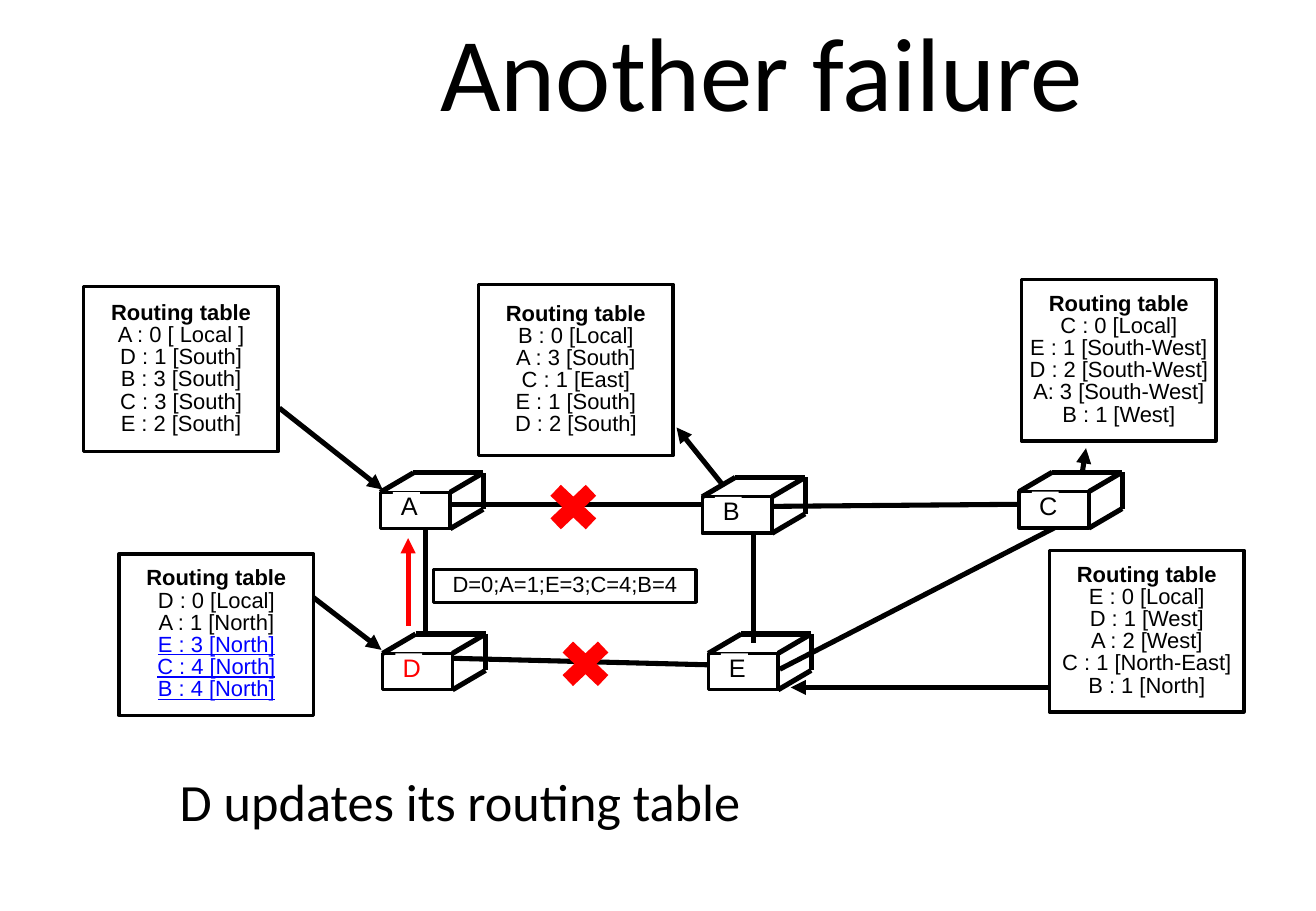
import pptx
import pptx.util
import pptx.dml.color
import pptx.enum.shapes
import pptx.enum.text
import pptx.oxml
import pptx.oxml.ns

Pt = pptx.util.Pt
Shape = pptx.enum.shapes.MSO_SHAPE
Align = pptx.enum.text.PP_ALIGN
BLACK = pptx.dml.color.RGBColor(0x00, 0x00, 0x00)
WHITE = pptx.dml.color.RGBColor(0xFF, 0xFF, 0xFF)
RED = pptx.dml.color.RGBColor(0xFF, 0x00, 0x00)
BLUE = pptx.dml.color.RGBColor(0x00, 0x00, 0xFF)

deck = pptx.Presentation()
deck.slide_width, deck.slide_height = Pt(780), Pt(540)
slide = deck.slides.add_slide(deck.slide_layouts[5])


def write(holder, lines, size, font="Arial", align=Align.CENTER, inset=0, wrap=True):
    """Fill a shape with (text, font overrides) lines."""
    frame = holder.text_frame
    frame_format = {
        "word_wrap": wrap, "vertical_anchor": pptx.enum.text.MSO_ANCHOR.MIDDLE,
        "auto_size": pptx.enum.text.MSO_AUTO_SIZE.NONE,
        "margin_left": Pt(inset), "margin_right": Pt(inset),
        "margin_top": Pt(inset), "margin_bottom": Pt(inset),
    }
    for name, value in frame_format.items():
        setattr(frame, name, value)
    for index, (text, overrides) in enumerate(lines):
        paragraph = frame.paragraphs[0] if index == 0 else frame.add_paragraph()
        paragraph.alignment = align
        paragraph.line_spacing = 0.84
        run = paragraph.add_run()
        run.text = text
        font_format = {"name": font, "size": Pt(size), "bold": False} | overrides
        color = font_format.pop("color", BLACK)
        for name, value in font_format.items():
            setattr(run.font, name, value)
        run.font.color.rgb = color


def draw_line(x1, y1, x2, y2, color=BLACK, arrow=False):
    line = slide.shapes.add_connector(
        pptx.enum.shapes.MSO_CONNECTOR.STRAIGHT, Pt(x1), Pt(y1), Pt(x2), Pt(y2))
    line.line.color.rgb = color
    line.line.width = Pt(3)
    if arrow:
        head = pptx.oxml.parse_xml(
            f'<a:tailEnd {pptx.oxml.ns.nsdecls("a")} type="triangle"/>')
        line.line._get_or_add_ln().append(head)
    effects = pptx.oxml.parse_xml(f'<a:effectLst {pptx.oxml.ns.nsdecls("a")}/>')
    line._element.spPr.append(effects)


# Title and statement
title = slide.shapes.title
title.left, title.top, title.width, title.height = Pt(173.5), Pt(0), Pt(556.5), Pt(95)
write(title, [("Another failure", {})], 62, font="Calibri", inset=3)

statement = slide.shapes.add_textbox(Pt(103.5), Pt(447), Pt(600), Pt(61))
write(statement, [("D updates its routing table", {})], 31,
      font="Calibri", align=Align.LEFT, inset=3)

# Links between routers
links = [
    (252, 312.5, 252, 375.8),
    (267.8, 390.2, 440, 394.6),
    (264.2, 298.8, 437.8, 298.8),
    (446.4, 311.8, 446.4, 380.9),
    (462.2, 396.7, 625.7, 312.5),
    (454.3, 300.2, 617.8, 298.8),
]
for link in links:
    draw_line(*link)

# Routers: a front face, the edges behind it and a label over the top edge
FACE_W, FACE_H = 41.4, 21.6
DEPTH_X, DEPTH_Y = 19.6, 11.5
routers = [
    ("A", 225.4, 291.8, BLACK),
    ("B", 416.2, 294.5, BLACK),
    ("C", 604.1, 291.4, BLACK),
    ("D", 226.8, 387.3, RED),
    ("E", 419.8, 387.3, BLACK),
]
for router, left, top, color in routers:
    face = slide.shapes.add_shape(
        Shape.RECTANGLE, Pt(left), Pt(top), Pt(FACE_W), Pt(FACE_H))
    face.shadow.inherit = False
    face.fill.solid()
    face.fill.fore_color.rgb = WHITE
    face.line.color.rgb = BLACK
    face.line.width = Pt(2)

    right, bottom = left + FACE_W, top + FACE_H
    back_left, back_right, back_top = left + DEPTH_X, right + DEPTH_X, top - DEPTH_Y
    back_bottom = bottom - DEPTH_Y
    for edge in [
        (left, top, back_left, back_top),
        (right, top, back_right, back_top),
        (right, bottom, back_right, back_bottom),
        (back_left, back_top, back_right, back_top),
        (back_right, back_top, back_right, back_bottom),
    ]:
        draw_line(*edge)

    label = slide.shapes.add_shape(
        Shape.RECTANGLE, Pt(left + 7.5), Pt(top), Pt(16), Pt(19))
    label.shadow.inherit = False
    label.fill.solid()
    label.fill.fore_color.rgb = WHITE
    label.line.fill.background()
    write(label, [(router, {"color": color})], 15, wrap=False)
    label.text_frame.margin_left = Pt(3.5)

# Routing tables and the distance vector sent by D
heading = ("Routing table", {"bold": True})
updated = {"color": BLUE, "underline": True}
boxes = [
    (49.7, 169.9, 115.2, 97.9, [
        heading, ("A : 0 [ Local ]", {}), ("D : 1 [South]", {}),
        ("B : 3 [South]", {}), ("C : 3 [South]", {}), ("E : 2 [South]", {})]),
    (283.7, 168.5, 115.2, 101.5, [
        heading, ("B : 0 [Local]", {}), ("A : 3 [South]", {}),
        ("C : 1 [East]", {}), ("E : 1 [South]", {}), ("D : 2 [South]", {})]),
    (605.5, 165.6, 115.2, 95.8, [
        heading, ("C : 0 [Local]", {}), ("E : 1 [South-West]", {}),
        ("D : 2 [South-West]", {}), ("A: 3 [South-West]", {}), ("B : 1 [West]", {})]),
    (70.6, 328.3, 115.2, 95.8, [
        heading, ("D : 0 [Local]", {}), ("A : 1 [North]", {}),
        ("E : 3 [North]", updated), ("C : 4 [North]", updated),
        ("B : 4 [North]", updated)]),
    (622.1, 326.2, 115.2, 95.8, [
        heading, ("E : 0 [Local]", {}), ("D : 1 [West]", {}),
        ("A : 2 [West]", {}), ("C : 1 [North-East]", {}), ("B : 1 [North]", {})]),
    (257, 337.7, 155.5, 19.4, [("D=0;A=1;E=3;C=4;B=4", {})]),
]
for left, top, width, height, lines in boxes:
    box = slide.shapes.add_shape(
        Shape.RECTANGLE, Pt(left), Pt(top), Pt(width), Pt(height))
    box.shadow.inherit = False
    box.fill.background()
    box.line.color.rgb = BLACK
    box.line.width = Pt(2)
    write(box, lines, 13)

# Arrows between tables and routers, and the message from D to A
arrows = [
    (165.6, 241.9, 226.8, 290.2, BLACK),
    (427.7, 286.6, 401, 253.4, BLACK),
    (641.5, 280.1, 643.7, 265.7, BLACK),
    (185.8, 354.2, 226.1, 385.2, BLACK),
    (622.8, 407.5, 468.7, 407.5, BLACK),
    (241.9, 370.8, 241.9, 319, RED),
]
for *ends, color in arrows:
    draw_line(*ends, color=color, arrow=True)

# Failed links
for left, top in [(319.7, 281.5), (326.9, 374.4)]:
    failure = slide.shapes.add_shape(
        Shape.MATH_MULTIPLY, Pt(left), Pt(top), Pt(40.3), Pt(38.2))
    failure.shadow.inherit = False
    failure.fill.solid()
    failure.fill.fore_color.rgb = RED
    failure.line.fill.background()

deck.save("out.pptx")
